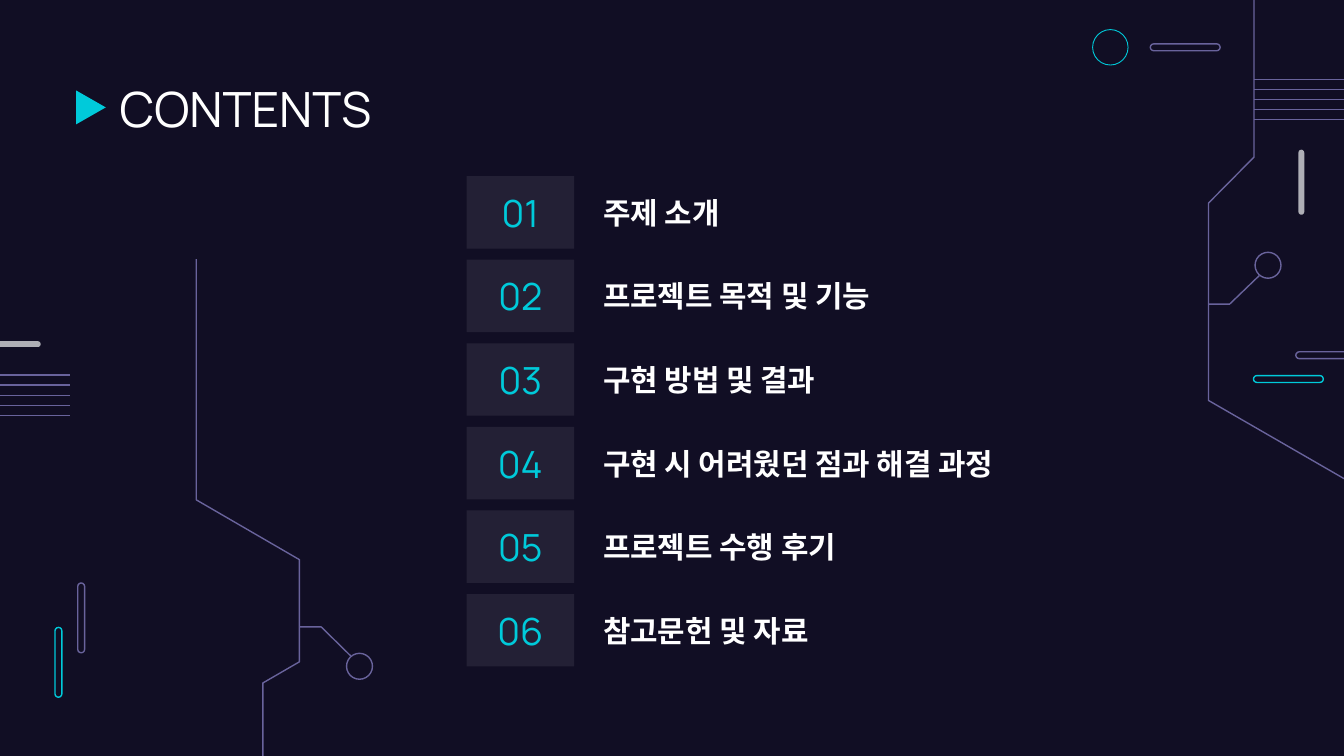
from lxml.etree import SubElement
from pptx import Presentation
from pptx.dml.color import RGBColor
from pptx.enum.shapes import MSO_CONNECTOR, MSO_SHAPE
from pptx.enum.text import MSO_ANCHOR, MSO_AUTO_SIZE, PP_ALIGN
from pptx.oxml.ns import qn
from pptx.util import Cm, Pt

NIGHT = RGBColor(0x11, 0x0E, 0x24)
CYAN = RGBColor(0x00, 0xCA, 0xDA)
VIOLET = RGBColor(0x69, 0x63, 0x9C)
GREY = RGBColor(0xAF, 0xAF, 0xB6)
WHITE = RGBColor(0xFF, 0xFF, 0xFF)

HEADING = "CONTENTS"
TOPICS = [
    "주제 소개",
    "프로젝트 목적 및 기능",
    "구현 방법 및 결과",
    "구현 시 어려웠던 점과 해결 과정",
    "프로젝트 수행 후기",
    "참고문헌 및 자료",
]

# All lengths below are in centimetres.
LIST_TOP, ROW_PITCH, ROW_HEIGHT = 3.33, 1.58, 1.37
NUMBER_LEFT, NUMBER_WIDTH = 8.82, 2.03
TOPIC_LEFT, TOPIC_WIDTH, LONG_TOPIC_WIDTH = 11.15, 7.54, 9.5

# left, top, width, height, colour
OUTLINED_PILLS = [
    (1.04, 11.86, 0.13, 1.32, CYAN),
    (1.47, 11.02, 0.13, 1.32, VIOLET),
    (23.69, 7.1, 1.32, 0.13, CYAN),
    (24.49, 6.65, 1.32, 0.13, VIOLET),
    (21.74, 0.83, 1.32, 0.13, VIOLET),
]
SOLID_PILLS = [
    (24.54, 2.83, 0.11, 1.23),
    (-0.46, 6.45, 1.23, 0.11),
]
# left, top, diameter, colour, line weight in points
RINGS = [
    (20.65, 0.56, 0.67, CYAN, 0.47),
    (23.72, 4.77, 0.49, VIOLET, 0.75),
    (6.55, 12.35, 0.49, VIOLET, 0.75),
]
TRACES = [
    [(25.7, 9.22), (22.84, 7.57), (22.84, 3.84), (23.7, 2.97), (23.7, -0.15)],
    [(23.8, 5.21), (23.24, 5.75), (22.84, 5.75)],
    [(3.71, 4.9), (3.71, 9.45), (5.66, 10.58), (5.66, 12.51),
     (4.97, 12.91), (4.97, 14.51)],
    [(6.63, 12.4), (6.07, 11.85), (5.66, 11.85)],
]
# start x, end x, first y
STRIPE_SETS = [(23.69, 27.43, 1.5), (1.32, -1.55, 7.09)]
STRIPE_COUNT, STRIPE_PITCH = 5, 0.19


def style(shape, fill=None, line=None, weight=0.75):
    shape.shadow.inherit = False
    if fill is None:
        shape.fill.background()
    else:
        shape.fill.solid()
        shape.fill.fore_color.rgb = fill
    if line is None:
        shape.line.fill.background()
    else:
        shape.line.color.rgb = line
        shape.line.width = Pt(weight)


def add_preset(shapes, preset, left, top, width, height, **look):
    shape = shapes.add_shape(preset, Cm(left), Cm(top), Cm(width), Cm(height))
    style(shape, **look)
    return shape


def add_pill(shapes, *box, **look):
    pill = add_preset(shapes, MSO_SHAPE.ROUNDED_RECTANGLE, *box, **look)
    pill.adjustments[0] = 0.5


def add_trace(shapes, points):
    start, *others = [(Cm(x), Cm(y)) for x, y in points]
    builder = shapes.build_freeform(*start)
    builder.add_line_segments(others, close=False)
    style(builder.convert_to_shape(), line=VIOLET)


def add_stripe(shapes, start, end, y):
    stripe = shapes.add_connector(
        MSO_CONNECTOR.STRAIGHT, Cm(start), Cm(y), Cm(end), Cm(y))
    stripe.line.color.rgb = VIOLET
    stripe.line.width = Pt(0.75)
    SubElement(stripe._element.spPr, qn("a:effectLst"))


def set_opacity(shape, percent):
    colour = shape._element.spPr.find(qn("a:solidFill"))[0]
    SubElement(colour, qn("a:alpha")).set("val", str(percent * 1000))


def write(shape, text, size, font, colour=WHITE, bold=False,
          align=PP_ALIGN.LEFT, anchor=MSO_ANCHOR.MIDDLE):
    frame = shape.text_frame
    frame.word_wrap = True
    frame.auto_size = MSO_AUTO_SIZE.NONE
    frame.vertical_anchor = anchor
    frame.margin_left = frame.margin_right = Cm(0.25)
    frame.margin_top = frame.margin_bottom = Cm(0.25)
    paragraph = frame.paragraphs[0]
    paragraph.alignment = align
    run = paragraph.add_run()
    run.text = text
    run.font.size = Pt(size)
    run.font.name = font
    run.font.bold = bold
    run.font.color.rgb = colour


def add_decoration(shapes):
    for *box, colour in OUTLINED_PILLS:
        add_pill(shapes, *box, line=colour)
    for box in SOLID_PILLS:
        add_pill(shapes, *box, fill=GREY)
    for left, top, diameter, colour, weight in RINGS:
        add_preset(shapes, MSO_SHAPE.OVAL, left, top, diameter, diameter,
                   line=colour, weight=weight)
    for points in TRACES:
        add_trace(shapes, points)
    for start, end, first_y in STRIPE_SETS:
        for index in range(STRIPE_COUNT):
            add_stripe(shapes, start, end, first_y + index * STRIPE_PITCH)


def add_heading(shapes):
    marker = add_preset(shapes, MSO_SHAPE.FLOWCHART_MERGE,
                        1.4, 1.75, 0.64, 0.56, fill=CYAN)
    marker.rotation = 270
    title = shapes.title
    title.left, title.top = Cm(2.01), Cm(1.24)
    title.width, title.height = Cm(21.41), Cm(1.6)
    write(title, HEADING, 26, "Manrope", anchor=MSO_ANCHOR.TOP)


def add_topics(shapes):
    longest = max(TOPICS, key=len)
    for index, topic in enumerate(TOPICS):
        top = LIST_TOP + index * ROW_PITCH
        number = add_preset(shapes, MSO_SHAPE.RECTANGLE, NUMBER_LEFT, top,
                            NUMBER_WIDTH, ROW_HEIGHT, fill=WHITE)
        set_opacity(number, 8)
        write(number, f"{index + 1:02}", 20, "Manrope", colour=CYAN,
              align=PP_ALIGN.CENTER)
        width = LONG_TOPIC_WIDTH if topic == longest else TOPIC_WIDTH
        label = shapes.add_textbox(
            Cm(TOPIC_LEFT), Cm(top), Cm(width), Cm(ROW_HEIGHT))
        write(label, topic, 16, "Courier New", bold=True)


def main():
    deck = Presentation()
    deck.slide_width, deck.slide_height = Cm(25.4), Cm(14.29)
    slide = deck.slides.add_slide(deck.slide_layouts.get_by_name("Title Only"))
    slide.background.fill.solid()
    slide.background.fill.fore_color.rgb = NIGHT
    add_decoration(slide.shapes)
    add_heading(slide.shapes)
    add_topics(slide.shapes)
    deck.save("out.pptx")


if __name__ == "__main__":
    main()
